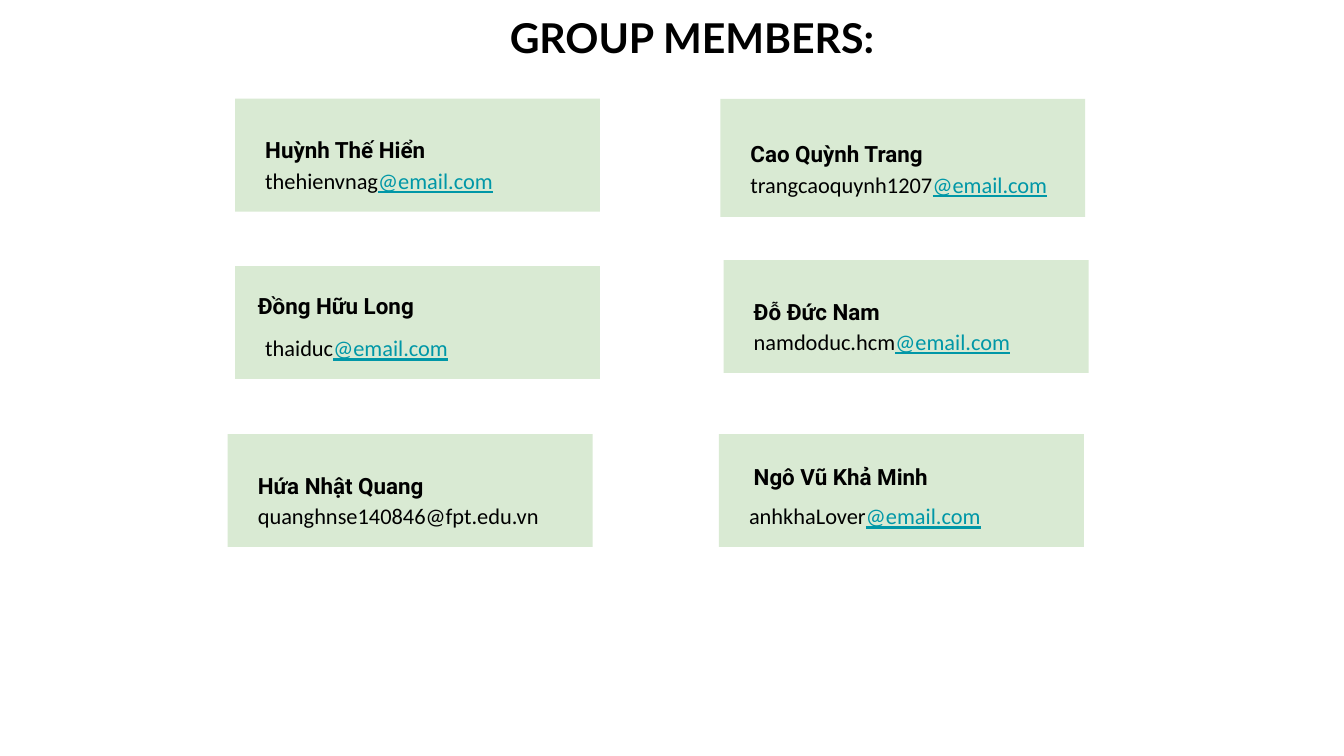
from pptx import Presentation
from pptx.dml.color import RGBColor as RGB
from pptx.enum.shapes import MSO_SHAPE as Shape
from pptx.enum.text import MSO_ANCHOR as Anchor
from pptx.util import Inches, Pt

deck = Presentation()
deck.slide_width = Inches(10)
deck.slide_height = deck.slide_width * 9 // 16
slide = deck.slides.add_slide(deck.slide_layouts[6])
cell = deck.slide_width / 100  # square grid, 100 columns wide


def grid(*spans):
    return [round(span * cell) for span in spans]


def write(box, parts, font, size, bold=False):
    """Add a text box on the grid; parts are (text, colour, underline)."""
    frame = slide.shapes.add_textbox(*grid(*box)).text_frame
    frame.word_wrap = True
    frame.vertical_anchor = Anchor.TOP
    frame.margin_left = frame.margin_right = grid(1)[0]
    frame.margin_top = frame.margin_bottom = grid(1)[0]
    for text, color, line in parts:
        run = frame.paragraphs[0].add_run()
        run.text = text
        run.font.name, run.font.size = font, Pt(size)
        run.font.bold, run.font.underline = bold, line
        run.font.color.rgb = RGB.from_string(color)


BLACK, TEAL, GREEN = "000000", "0097A7", "D9EAD3"
HOST = "@email.com"

# name, mail user, mail host, card (left, top, height),
# name offset (x, y), mail offset (x, y)
members = [
    ("Huỳnh Thế Hiển", "thehienvnag", HOST,
     (17.5, 7.35, 8.4), (1.25, 1.8), (1.25, 4.1)),
    ("Cao Quỳnh Trang", "trangcaoquynh1207", HOST,
     (53.6, 7.35, 8.8), (1.25, 2.1), (1.25, 4.4)),
    ("Đỗ Đức Nam", "namdoduc.hcm", HOST,
     (53.85, 19.35, 8.4), (1.25, 1.85), (1.25, 4.05)),
    ("Đồng Hữu Long", "thaiduc", HOST,
     (17.5, 19.8, 8.4), (0.7, 0.95), (1.25, 4.1)),
    ("Hứa Nhật Quang", "quanghnse140846@fpt.edu.vn", "",
     (16.95, 32.3, 8.4), (1.25, 1.8), (1.25, 4.1)),
    ("Ngô Vũ Khả Minh", "anhkhaLover", HOST,
     (53.5, 32.3, 8.4), (1.6, 1.15), (1.25, 4.1)),
]

for name, user, host, (x, y, tall), (nx, ny), (mx, my) in members:
    card = slide.shapes.add_shape(Shape.RECTANGLE, *grid(x, y, 27.15, tall))
    card.shadow.inherit = False
    card.fill.solid()
    card.fill.fore_color.rgb = RGB.from_string(GREEN)
    card.line.fill.background()

    mail = [(user, BLACK, False)]
    if host:
        mail.append((host, TEAL, True))
    write((x + mx, y + my, 24.7, 2.6), mail, "Calibri", 12)
    write((x + nx, y + ny, 16.4, 3.5), [(name, BLACK, False)],
          "Roboto", 12, bold=True)

write((36.95, -0.1, 34.3, 5.1), [("GROUP MEMBERS:", BLACK, False)],
      "Lato", 22, bold=True)

deck.save("out.pptx")
